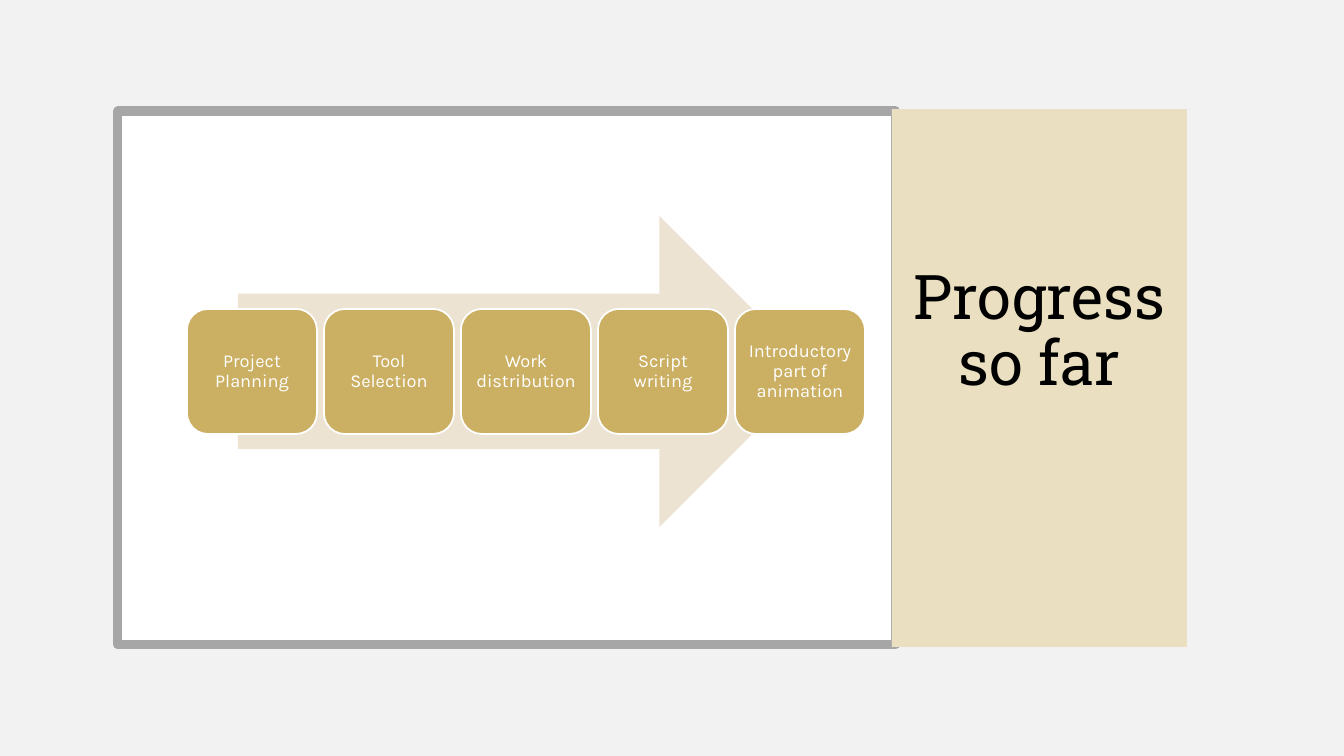
import pptx
import pptx.dml.color
import pptx.enum.shapes
import pptx.enum.text
import pptx.util

SHAPES = pptx.enum.shapes.MSO_SHAPE
ANCHORS = pptx.enum.text.MSO_ANCHOR
COLOURS = {
    "background": "F2F2F2",
    "white": "FFFFFF",
    "frame": "A6A6A6",
    "panel": "EADFC0",
    "arrow": "ECE3D3",
    "step": "CBAF62",
    "title": "000000",
}
STEPS = [
    "Project Planning",
    "Tool Selection",
    "Work distribution",
    "Script writing",
    "Introductory part of animation",
]


def px(length):
    return pptx.util.Emu(round(length * 914400 / 100.8))


def colour(name):
    return pptx.dml.color.RGBColor.from_string(COLOURS[name])


class ProgressSlide:
    """Holds the style and the current slide, and adds its elements."""

    def __init__(self, presentation):
        self.slide = presentation.slides.add_slide(presentation.slide_layouts[5])
        self.paint(self.slide.background, "background")

    def paint(self, target, name):
        target.fill.solid()
        target.fill.fore_color.rgb = colour(name)

    def shape(self, kind, left, top, width, height, fill, line=None, weight=0):
        shape = self.slide.shapes.add_shape(kind, px(left), px(top), px(width), px(height))
        shape.shadow.inherit = False
        self.paint(shape, fill)
        if line:
            shape.line.color.rgb = colour(line)
            shape.line.width = pptx.util.Pt(weight)
        else:
            shape.line.fill.background()
        return shape

    def text(self, shape, text, font, size, name, anchor, margin, top_margin):
        frame = shape.text_frame
        frame.text = text
        frame.word_wrap = True
        frame.auto_size = pptx.enum.text.MSO_AUTO_SIZE.NONE
        frame.vertical_anchor = anchor
        frame.margin_left = frame.margin_right = frame.margin_bottom = px(margin)
        frame.margin_top = px(top_margin)
        paragraph = frame.paragraphs[0]
        paragraph.alignment = pptx.enum.text.PP_ALIGN.CENTER
        paragraph.line_spacing = 0.9
        paragraph.font.name = font
        paragraph.font.size = pptx.util.Pt(size)
        paragraph.font.color.rgb = colour(name)

    def title(self, text, left, top, width, height):
        title = self.slide.shapes.title
        title.left, title.top = px(left), px(top)
        title.width, title.height = px(width), px(height)
        self.paint(title, "panel")
        self.text(title, text, "Roboto Slab", 44, "title", ANCHORS.TOP, 10, 157)
        tree = self.slide.shapes.element
        tree.remove(title.element)
        tree.append(title.element)

    def step(self, text, left, top, width, height):
        card = self.shape(SHAPES.ROUNDED_RECTANGLE, left, top, width, height, "step", "white", 1.25)
        self.text(card, text, "Karla", 13, "white", ANCHORS.MIDDLE, 5, 5)


def main():
    presentation = pptx.Presentation()
    presentation.slide_width = px(1344)
    presentation.slide_height = px(756)
    progress = ProgressSlide(presentation)
    progress.shape(SHAPES.RECTANGLE, 118, 111, 778, 534, "white", "frame", 6.5)
    progress.title("Progress so far", 892, 109, 295, 538)
    progress.shape(SHAPES.RIGHT_ARROW, 238, 216, 577, 311, "arrow")
    for index, text in enumerate(STEPS):
        progress.step(text, 187 + 137 * index, 309, 130, 125)
    presentation.save("out.pptx")


if __name__ == "__main__":
    main()
